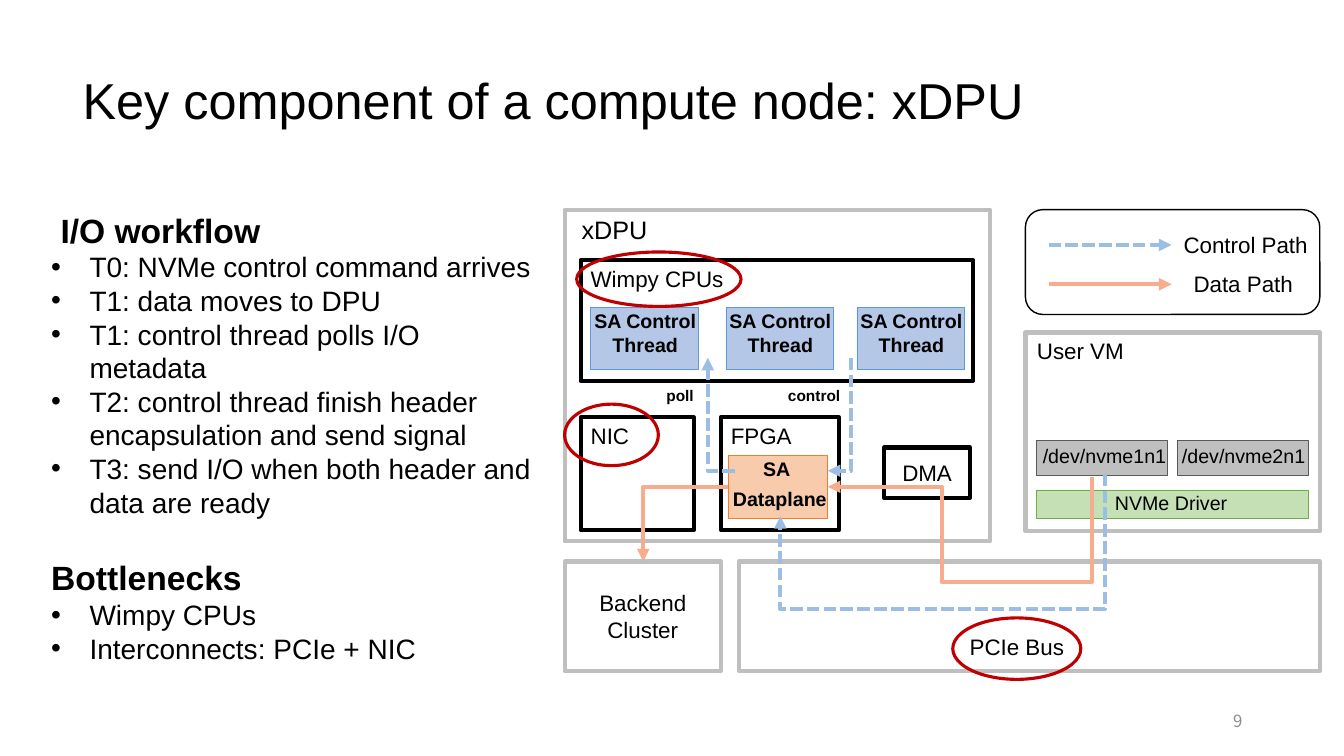
from math import cos, sin, radians
from lxml import etree
from pptx import Presentation
from pptx.dml.color import RGBColor
from pptx.enum.dml import MSO_LINE
from pptx.enum.shapes import MSO_CONNECTOR, MSO_SHAPE
from pptx.enum.text import MSO_ANCHOR, PP_ALIGN
from pptx.oxml.ns import qn
from pptx.util import Inches, Pt

BLACK, WHITE, GREY, RED = "000000", "FFFFFF", "BFBFBF", "C00000"
CONTROL, DATA = "9CBEE5", "F6AC8D"
LEFT, CENTER, RIGHT = PP_ALIGN.LEFT, PP_ALIGN.CENTER, PP_ALIGN.RIGHT
TOP, MIDDLE = MSO_ANCHOR.TOP, MSO_ANCHOR.MIDDLE
RIGHTWARD, DOWN, LEFTWARD, UP = 0, 90, 180, 270


def color(value):
    return RGBColor.from_string(value)


def add_span(para, text, size, bold=False, tint=BLACK, face="Arial"):
    span = para.add_run()
    span.text = text
    span.font.name = face
    span.font.size = Pt(size)
    span.font.bold = bold
    span.font.color.rgb = color(tint)


def write(frame, lines, size, align=CENTER, anchor=TOP, wrap=False, **style):
    frame.word_wrap = wrap
    frame.vertical_anchor = anchor
    for index, line in enumerate(lines):
        para = frame.add_paragraph() if index else frame.paragraphs[0]
        para.alignment = align
        add_span(para, line, size, **style)


def label(page, x, y, width, height, lines, size, **style):
    box = page.shapes.add_textbox(Inches(x), Inches(y), Inches(width), Inches(height))
    write(box.text_frame, lines, size, **style)
    return box


def block(page, x, y, width, height, fill=None, line=GREY, weight=3, kind=MSO_SHAPE.RECTANGLE):
    shape = page.shapes.add_shape(kind, Inches(x), Inches(y), Inches(width), Inches(height))
    shape.shadow.inherit = False
    if fill:
        shape.fill.solid()
        shape.fill.fore_color.rgb = color(fill)
    else:
        shape.fill.background()
    shape.line.color.rgb = color(line)
    shape.line.width = Pt(weight)
    return shape


def style_path(connector, tint, arrow):
    connector.line.color.rgb = color(tint)
    connector.line.width = Pt(3)
    if tint == CONTROL:
        connector.line.dash_style = MSO_LINE.SQUARE_DOT
    if arrow:
        etree.SubElement(connector.line._get_or_add_ln(), qn("a:tailEnd"), type="triangle")
    etree.SubElement(connector._element.spPr, qn("a:effectLst"))


def straight(page, x, y, length, tint):
    connector = page.shapes.add_connector(
        MSO_CONNECTOR.STRAIGHT, Inches(x), Inches(y), Inches(x + length), Inches(y))
    style_path(connector, tint, True)


def elbow(page, start, end, heading, tint, arrow=True, reach=None):
    run, drop = end[0] - start[0], end[1] - start[1]
    turn = radians(heading)
    along = run * cos(turn) + drop * sin(turn)
    across = drop * cos(turn) - run * sin(turn)
    width, height = abs(along), abs(across)
    x = (start[0] + end[0] - width) / 2
    y = (start[1] + end[1] - height) / 2
    connector = page.shapes.add_connector(
        MSO_CONNECTOR.ELBOW, Inches(x), Inches(y), Inches(x + width), Inches(y + height))
    frame = connector._element.spPr.find(qn("a:xfrm"))
    frame.set("rot", str(heading * 60000))
    if across < 0:
        frame.set("flipV", "1")
    geometry = connector._element.spPr.find(qn("a:prstGeom"))
    geometry.set("prst", "bentConnector3" if reach else "bentConnector2")
    if reach:
        guides = geometry.find(qn("a:avLst"))
        etree.SubElement(guides, qn("a:gd"), name="adj1", fmla=f"val {round(reach / along * 100000)}")
    style_path(connector, tint, arrow)


def outline_section(page, x, y, width, height, heading, items):
    box = label(page, x, y, width, height, [heading], 24, align=LEFT, wrap=True, bold=True)
    for item in items:
        para = box.text_frame.add_paragraph()
        properties = para._p.get_or_add_pPr()
        properties.set("marL", str(Inches(0.38)))
        properties.set("indent", str(-Inches(0.38)))
        etree.SubElement(properties, qn("a:buFont"), typeface="Arial")
        etree.SubElement(properties, qn("a:buChar"), char="•")
        add_span(para, item, 20)


def dpu_region(page, x, y, width, height):
    block(page, x, y, width, height)
    label(page, x, y, 0.99, 0.4, ["xDPU"], 18)
    units = [
        ("NIC", 0.16, 2.06, 1.12, 1.12, LEFT, TOP),
        ("FPGA", 1.55, 2.06, 1.17, 1.12, LEFT, TOP),
        ("DMA", 3.17, 2.36, 0.85, 0.5, CENTER, MIDDLE),
        ("Wimpy CPUs", 0.16, 0.5, 3.89, 1.2, LEFT, TOP),
    ]
    for name, across, down, wide, high, align, anchor in units:
        unit = block(page, x + across, y + down, wide, high, line=BLACK)
        write(unit.text_frame, [name], 16, align=align, anchor=anchor)
    for across in (0.26, 1.6, 2.9):
        block(page, x + across, y + 0.97, 1.07, 0.61, "B4C7E7", "5B9BD5", 0.5)
        label(page, x + across - 0.08, y + 0.94, 1.24, 0.57, ["SA Control", "Thread"], 14, bold=True)
    block(page, x + 1.62, y + 2.44, 0.99, 0.62, "F8CBAD", "ED7D31", 0.5)
    label(page, x + 1.87, y + 2.4, 0.47, 0.34, ["SA"], 14, align=LEFT, bold=True)
    label(page, x + 1.57, y + 2.7, 1.15, 0.34, ["Dataplane"], 14, align=LEFT, bold=True)
    for name, across in (("poll", 0.65), ("control", 1.98)):
        label(page, x + across, y + 1.7, 0.99, 0.29, [name], 11, bold=True)


def vm_region(page, x, y, width, height):
    block(page, x, y, width, height, WHITE)
    label(page, x, y, 1.09, 0.37, ["User VM"], 16)
    block(page, x + 0.11, y + 1.56, width - 0.22, 0.28, "C5E0B4", "70AD47", 0.5)
    label(page, x + 0.7, y + 1.52, 1.49, 0.34, ["NVMe Driver"], 14)
    for name, across, shift in (("/dev/nvme1n1", 0.11, -0.06), ("/dev/nvme2n1", 1.51, -0.08)):
        block(page, x + across, y + 1.07, 1.3, 0.35, GREY, "595959", 0.5)
        label(page, x + across + shift, y + 1.06, 1.47, 0.34, [name], 14)


def backend_region(page, x, y, width, height):
    backend = block(page, x, y, width, height)
    write(backend.text_frame, ["Backend", "Cluster"], 16, anchor=MIDDLE)


def bus_region(page, x, y, width, height):
    block(page, x, y, width, height, WHITE)
    label(page, x + 1.91, y + 0.66, 1.69, 0.37, ["PCIe Bus"], 16)


def legend_region(page, x, y, width, height):
    block(page, x, y, width, height, WHITE, BLACK, 1, MSO_SHAPE.ROUNDED_RECTANGLE)
    for name, tint, down in (("Control Path", CONTROL, 0.35), ("Data Path", DATA, 0.74)):
        straight(page, x + 0.23, y + down, 1.22, tint)
        label(page, x + 1.45, y + down - 0.19, 1.42 if tint == DATA else 1.47, 0.37, [name], 16)


def flow_paths(page):
    elbow(page, (10.83, 4.73), (9.34, 4.95), DOWN, DATA, arrow=False, reach=1.04)
    elbow(page, (9.34, 4.96), (8.21, 4.83), UP, DATA)
    elbow(page, (7.22, 4.83), (6.38, 5.57), LEFTWARD, DATA)
    elbow(page, (7.29, 4.67), (7.02, 3.55), LEFTWARD, CONTROL)
    elbow(page, (8.44, 3.55), (8.21, 4.67), DOWN, CONTROL)
    elbow(page, (10.96, 4.7), (7.74, 5.12), DOWN, CONTROL, reach=1.34)


def bottleneck_rings(page):
    for ring in ((5.72, 2.5, 1.63, 0.54), (5.6, 4.01, 0.93, 0.61), (9.45, 6.13, 1.27, 0.61)):
        block(page, *ring, line=RED, weight=2.25, kind=MSO_SHAPE.OVAL)


def compute_node_slide(deck):
    page = deck.slides.add_slide(deck.slide_layouts[6])
    title = label(page, 0.72, 0.3, 11.91, 1.45, ["Key component of a compute node: xDPU"], 36,
                  align=LEFT, anchor=MIDDLE, wrap=True)
    title.text_frame.paragraphs[0].line_spacing = 0.9
    label(page, 9.42, 6.95, 3, 0.4, ["9"], 12, align=RIGHT, anchor=MIDDLE, wrap=True,
          tint="8C8C8C", face="Noto Sans CJK SC")
    dpu_region(page, 5.6, 2.08, 4.22, 3.29)
    vm_region(page, 10.17, 3.3, 2.92, 1.97)
    backend_region(page, 5.6, 5.57, 1.55, 1.09)
    bus_region(page, 7.33, 5.57, 5.76, 1.09)
    legend_region(page, 10.17, 2.08, 2.92, 1.04)
    flow_paths(page)
    bottleneck_rings(page)
    outline_section(page, 0.41, 2.03, 5.04, 3.2, " I/O workflow", [
        "T0: NVMe control command arrives",
        "T1: data moves to DPU",
        "T1: control thread polls I/O metadata",
        "T2: control thread finish header encapsulation and send signal",
        "T3: send I/O when both header and data are ready",
    ])
    outline_section(page, 0.41, 5.48, 5.04, 1.18, "Bottlenecks", [
        "Wimpy CPUs",
        "Interconnects: PCIe + NIC",
    ])


def main():
    deck = Presentation()
    deck.slide_width, deck.slide_height = Inches(13.33), Inches(7.5)
    compute_node_slide(deck)
    deck.save("out.pptx")


if __name__ == "__main__":
    main()
